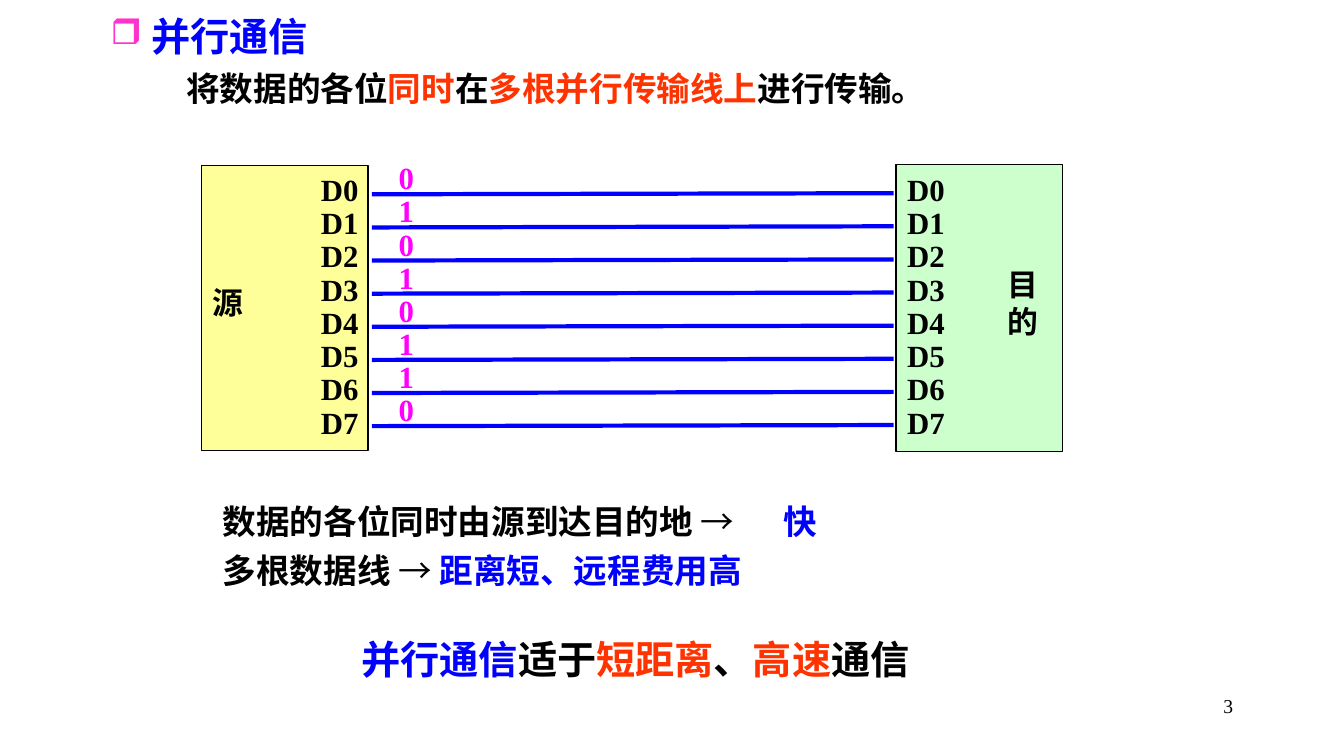
from dataclasses import dataclass

from lxml.etree import SubElement
from pptx import Presentation
from pptx.dml.color import RGBColor
from pptx.enum.shapes import MSO_CONNECTOR, MSO_SHAPE
from pptx.enum.text import MSO_AUTO_SIZE, PP_ALIGN
from pptx.oxml.ns import qn
from pptx.util import Emu, Inches, Pt


@dataclass(frozen=True)
class Theme:
    black: str = "000000"
    blue: str = "0000FF"
    red: str = "FF3300"
    pink: str = "FF00FF"
    mark: str = "FF33CC"
    green: str = "CCFFCC"
    yellow: str = "FFFF99"
    latin: str = "Times New Roman"
    asian: str = "Noto Sans CJK SC"
    title: int = 28
    body: int = 24
    label: int = 22
    page: int = 14


T = Theme()
JUST, RIGHT = PP_ALIGN.JUSTIFY, PP_ALIGN.RIGHT

# Each paragraph is a list of (text, colour) runs.
TITLE = [(" 并行通信", T.blue)]
INTRO = [("将数据的各位", T.black), ("同时", T.red), ("在", T.black),
         ("多根并行传输线上", T.red), ("进行传输。", T.black)]
POINTS = [
    [("数据的各位同时由源到达目的地 ", T.black), ("→", T.black),
     (" ", T.black), ("快", T.blue)],
    [("多根数据线 ", T.black), ("→ ", T.black), ("距离短、远程费用高", T.blue)],
]
CLOSE = [("并行通信", T.blue), ("适于", T.black), ("短距离", T.red),
         ("、", T.black), ("高速", T.red), ("通信", T.black)]
BITS = "01010110"
PINS = [[(f"D{n}", T.black)] for n in range(len(BITS))]

# Grid of 120 columns by 67.5 rows; boxes are left, top, width, height.
COLS, ROWS = 120, 67.5
WIRE = dict(left=33.2, right=79.8, top=17.35, end=38.05, drop=0.1)
ENDS = [
    dict(box=(80, 14.7, 14.85, 25.6), fill=T.green, pins=(81, 15.6, 7, 23.2),
         align=JUST, name="目的", tag=(90, 23.75, 5, 7.5)),
    dict(box=(18, 14.75, 14.85, 25.5), fill=T.yellow, pins=(25, 15.6, 7, 23.2),
         align=RIGHT, name="源", tag=(19, 25.3, 5, 3)),
]

deck = Presentation()
deck.slide_width, deck.slide_height = Inches(13.3333), Inches(7.5)
slide = deck.slides.add_slide(deck.slide_layouts[6])
unit = deck.slide_width / COLS


def grid(*vals):
    return [Emu(round(v * unit)) for v in vals]


def apply(item, **vals):
    for key, val in vals.items():
        setattr(item, key, val)


def write(par, runs, size, bold=True, **form):
    apply(par, **form)
    for text, tint in runs:
        run = par.add_run()
        run.text = text
        apply(run.font, size=Pt(size), name=T.latin,
              bold=bold and "→" not in text)
        run.font.color.rgb = RGBColor.from_string(tint)
        SubElement(run.font._element, qn("a:ea"), typeface=T.asian)


def add_text(box, paras, size, inset=True, wrap=True, grow=False,
             bold=True, **form):
    frame = slide.shapes.add_textbox(*grid(*box)).text_frame
    apply(frame, word_wrap=wrap)
    if grow:
        frame.auto_size = MSO_AUTO_SIZE.SHAPE_TO_FIT_TEXT
    if not inset:
        apply(frame, margin_left=0, margin_top=0,
              margin_right=0, margin_bottom=0)
    for n, runs in enumerate(paras):
        par = frame.add_paragraph() if n else frame.paragraphs[0]
        write(par, runs, size, bold, **form)
    return frame


def indent(par, inches, level):
    par.level = level
    props = par._p.get_or_add_pPr()
    props.set("marL", str(Inches(inches)))
    props.set("indent", "0")
    return props


def add_heading():
    frame = add_text((9, 0.7, 111, 10.8), [TITLE], T.title, grow=True,
                     alignment=JUST, space_after=Pt(6))
    props = indent(frame.paragraphs[0], 0, 0)
    tint = SubElement(props, qn("a:buClr"))
    SubElement(tint, qn("a:srgbClr"), val=T.mark)
    SubElement(props, qn("a:buSzPct"), val="90000")
    SubElement(props, qn("a:buChar"), char="❒")
    par = frame.add_paragraph()
    write(par, INTRO, T.body, alignment=JUST)
    indent(par, 0.75, 1)


def add_points():
    frame = add_text((10, 44.3, 99, 10), POINTS, T.body, grow=True,
                     alignment=JUST, space_after=Pt(6))
    for par in frame.paragraphs:
        indent(par, 1, 2)
    gap = frame.paragraphs[0].runs[2]
    gap.font._element.set("spc", "3000")


def add_wires():
    step = (WIRE["end"] - WIRE["top"]) / (len(BITS) - 1)
    for n, bit in enumerate(BITS):
        y = WIRE["top"] + n * step
        wire = slide.shapes.add_connector(
            MSO_CONNECTOR.STRAIGHT,
            *grid(WIRE["left"], y, WIRE["right"], y - WIRE["drop"]))
        wire.line.color.rgb = RGBColor.from_string(T.blue)
        wire.line.width = Pt(3)
        SubElement(wire._element.spPr, qn("a:effectLst"))
        add_text((35.6, y - 3.15, 1.8, 3.15), [[(bit, T.pink)]], T.label,
                 inset=False, alignment=JUST)


def add_end(end):
    block = slide.shapes.add_shape(MSO_SHAPE.RECTANGLE, *grid(*end["box"]))
    block.shadow.inherit = False
    block.fill.solid()
    block.fill.fore_color.rgb = RGBColor.from_string(end["fill"])
    block.line.color.rgb = RGBColor.from_string(T.black)
    block.line.width = Pt(1)
    add_text(end["pins"], PINS, T.label, inset=False,
             alignment=end["align"], line_spacing=0.9)
    add_text(end["tag"], [[(char, T.black)] for char in end["name"]],
             T.label, inset=False, alignment=JUST)


add_text((86, 61.5, 25, 4.5), [[("3", T.black)]], T.page, bold=False,
         alignment=RIGHT)
add_points()
add_heading()
add_wires()
for end in ENDS:
    add_end(end)
add_text((31.4, 56.25, 51.5, 5.1), [CLOSE], T.title, wrap=False, grow=True,
         alignment=JUST)
deck.save("out.pptx")
